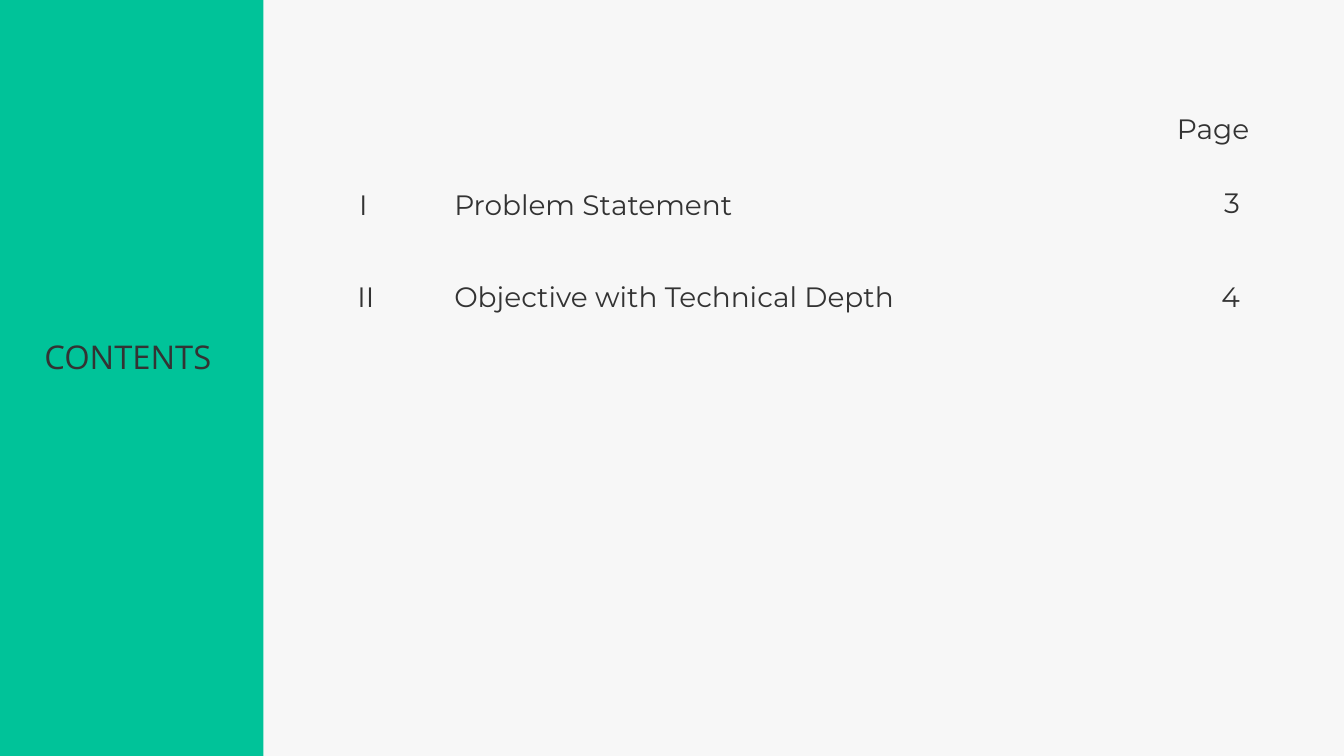
from dataclasses import dataclass

from pptx import Presentation
from pptx.dml.color import RGBColor
from pptx.enum.shapes import MSO_SHAPE
from pptx.enum.text import PP_ALIGN
from pptx.oxml.ns import qn
from pptx.util import Inches, Pt


@dataclass(frozen=True)
class Theme:
    paper: RGBColor = RGBColor(0xF7, 0xF7, 0xF7)
    accent: RGBColor = RGBColor(0x00, 0xC3, 0x99)
    ink: RGBColor = RGBColor(0x33, 0x33, 0x33)
    heading_font: str = "Open Sans"
    body_font: str = "Montserrat"
    heading_size: int = 35
    body_size: int = 30


THEME = Theme()
PLAIN_TABLE_STYLE = "{2D5ABB26-0587-4C30-8999-92F81FD0307C}"
COLUMN_WIDTHS = (5.07, 9.11, 3.34)
ROW_HEIGHTS = (0.65, 2.23, 1.04)
TITLE_INDENT = 0.6


def format_paragraph(paragraph, font_name, size, alignment=PP_ALIGN.LEFT):
    paragraph.alignment = alignment
    for run in paragraph.runs:
        run.font.name = font_name
        run.font.size = Pt(size)
        run.font.color.rgb = THEME.ink


def set_margins(target, left=0, top=0, right=0):
    target.margin_left = Inches(left)
    target.margin_top = Inches(top)
    target.margin_right = Inches(right)
    target.margin_bottom = 0


def add_side_panel(slide, width, height):
    panel = slide.shapes.add_shape(MSO_SHAPE.RECTANGLE, 0, 0, width, height)
    panel.shadow.inherit = False
    panel.fill.solid()
    panel.fill.fore_color.rgb = THEME.accent
    panel.line.fill.background()


def add_heading(slide, text):
    box = slide.shapes.add_textbox(Inches(0.65), Inches(5), Inches(2.61), Inches(0.6))
    frame = box.text_frame
    frame.word_wrap = True
    set_margins(frame, left=0.01, top=0.01)
    frame.text = text
    format_paragraph(frame.paragraphs[0], THEME.heading_font, THEME.heading_size)


def fill_cell(cell, text, alignment=PP_ALIGN.RIGHT, **margins):
    set_margins(cell, **margins)
    cell.text_frame.text = text
    for paragraph in cell.text_frame.paragraphs:
        format_paragraph(paragraph, THEME.body_font, THEME.body_size, alignment)


def add_contents_table(slide):
    frame = slide.shapes.add_table(
        len(ROW_HEIGHTS), len(COLUMN_WIDTHS), Inches(1.09), Inches(0.88),
        Inches(sum(COLUMN_WIDTHS)), Inches(sum(ROW_HEIGHTS)))
    table = frame.table
    table.first_row = table.horz_banding = False
    frame._element.find(f".//{qn('a:tableStyleId')}").text = PLAIN_TABLE_STYLE
    for column, width in zip(table.columns, COLUMN_WIDTHS):
        column.width = Inches(width)
    for row, height in zip(table.rows, ROW_HEIGHTS):
        row.height = Inches(height)
        row.cells[0].fill.background()
        for cell in list(row.cells)[1:]:
            cell.fill.solid()
            cell.fill.fore_color.rgb = THEME.paper
    table.cell(0, 1).merge(table.cell(0, 2))

    entries = (("I", "Problem Statement", 1.28, 0.69),
               ("II", "Objective with Technical Depth", 0.41, 0.59))
    for row, (numeral, title, top, right) in enumerate(entries, start=1):
        fill_cell(table.cell(row, 0), numeral, top=top, right=right)
        fill_cell(table.cell(row, 1), title, PP_ALIGN.LEFT, left=TITLE_INDENT, top=top)

    page_cell = table.cell(1, 2)
    fill_cell(page_cell, "Page\n3", top=0.15, right=0.02)
    number = page_cell.text_frame.paragraphs[1]
    number.space_before = Pt(42)
    number._p.get_or_add_pPr().set("marR", str(Inches(0.14)))
    fill_cell(table.cell(2, 2), "4", top=0.41, right=0.16)


def main():
    presentation = Presentation()
    presentation.slide_width = Inches(20)
    presentation.slide_height = Inches(11.25)
    slide = presentation.slides.add_slide(presentation.slide_layouts[6])
    slide.background.fill.solid()
    slide.background.fill.fore_color.rgb = THEME.paper
    add_side_panel(slide, Inches(3.92), presentation.slide_height)
    add_contents_table(slide)
    add_heading(slide, "CONTENTS")
    presentation.save("out.pptx")


if __name__ == "__main__":
    main()
